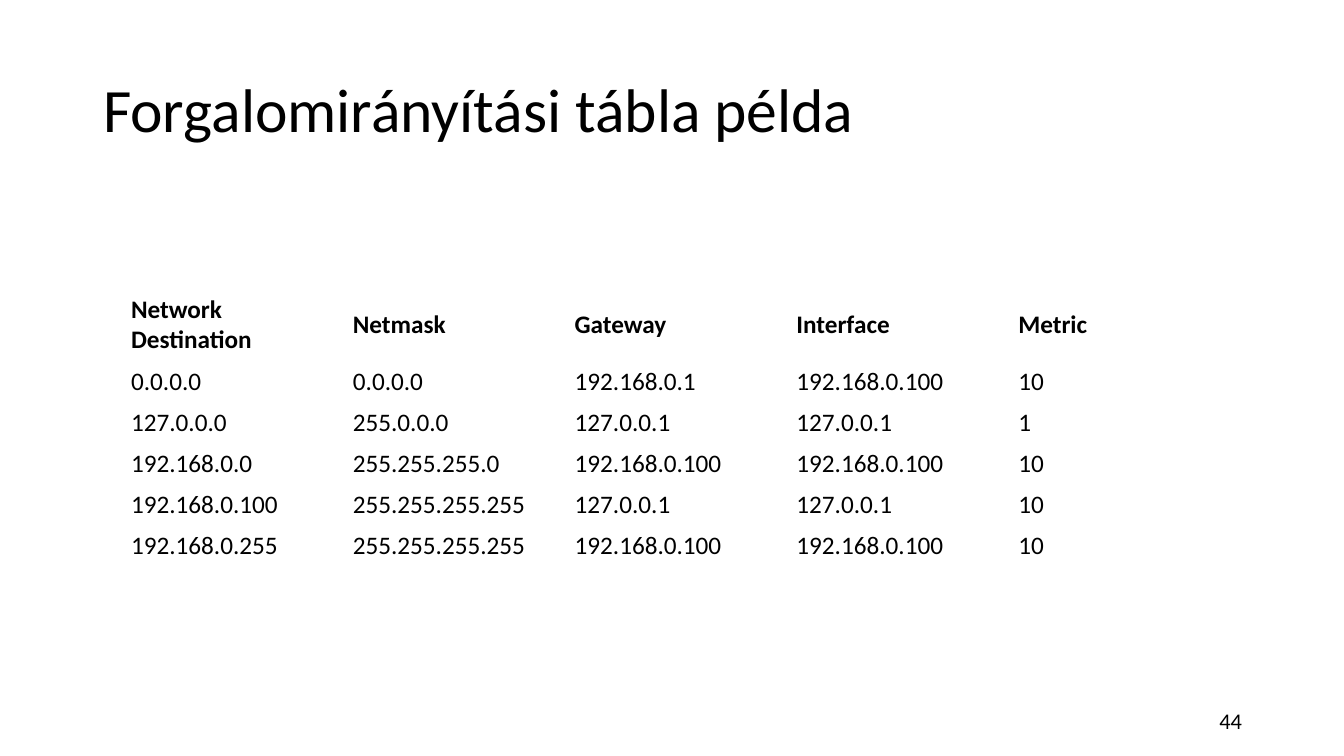
from pptx import Presentation
from pptx.dml.color import RGBColor
from pptx.enum.text import MSO_ANCHOR, MSO_AUTO_SIZE, PP_ALIGN
from pptx.util import Emu, Pt

PAGE_WIDTH, PAGE_HEIGHT = 1344, 756
SCALE = 12192000 / PAGE_WIDTH
BLACK = RGBColor(0, 0, 0)
WHITE = RGBColor(255, 255, 255)
FONT = "Calibri"

ROUTES = [
    ("Network Destination", "Netmask", "Gateway", "Interface", "Metric"),
    ("0.0.0.0", "0.0.0.0", "192.168.0.1", "192.168.0.100", "10"),
    ("127.0.0.0", "255.0.0.0", "127.0.0.1", "127.0.0.1", "1"),
    ("192.168.0.0", "255.255.255.0", "192.168.0.100", "192.168.0.100", "10"),
    ("192.168.0.100", "255.255.255.255", "127.0.0.1", "127.0.0.1", "10"),
    ("192.168.0.255", "255.255.255.255", "192.168.0.100", "192.168.0.100", "10"),
]


def px(length):
    return Emu(round(length * SCALE))


def write(frame, text, size, align=PP_ALIGN.LEFT, bold=False):
    frame.text = text
    frame.word_wrap = True
    para = frame.paragraphs[0]
    para.alignment = align
    para.font.name = FONT
    para.font.size = Pt(size)
    para.font.bold = bold
    para.font.color.rgb = BLACK
    return para


def place_title(page, left, top, width, height):
    title = page.shapes.title
    title.left, title.top = px(left), px(top)
    title.width, title.height = px(width), px(height)
    frame = title.text_frame
    write(frame, "Forgalomirányítási tábla példa", 44).line_spacing = 0.9
    frame.auto_size = MSO_AUTO_SIZE.NONE
    frame.vertical_anchor = MSO_ANCHOR.MIDDLE


def place_routing_table(page, left, top, width, header_height, row_height):
    height = header_height + row_height * (len(ROUTES) - 1)
    table = page.shapes.add_table(
        len(ROUTES), len(ROUTES[0]), px(left), px(top), px(width), px(height)
    ).table
    table.first_row = False
    table.horz_banding = False
    for row_index, route in enumerate(ROUTES):
        is_header = row_index == 0
        table.rows[row_index].height = px(header_height if is_header else row_height)
        for column_index, text in enumerate(route):
            cell = table.cell(row_index, column_index)
            cell.fill.solid()
            cell.fill.fore_color.rgb = WHITE
            cell.vertical_anchor = MSO_ANCHOR.MIDDLE
            write(cell.text_frame, text, 18, bold=is_header)


def place_page_number(page, left, top, width, height):
    box = page.shapes.add_textbox(px(left), px(top), px(width), px(height))
    write(box.text_frame, "44", 16, PP_ALIGN.RIGHT)
    box.text_frame.vertical_anchor = MSO_ANCHOR.MIDDLE


def main():
    deck = Presentation()
    deck.slide_width, deck.slide_height = px(PAGE_WIDTH), px(PAGE_HEIGHT)
    page = deck.slides.add_slide(deck.slide_layouts[5])
    place_title(page, 93, 40, 1159, 146)
    place_routing_table(page, 121, 289, 1109, 72, 41)
    place_page_number(page, 950, 701, 302, 40)
    deck.save("out.pptx")


if __name__ == "__main__":
    main()
